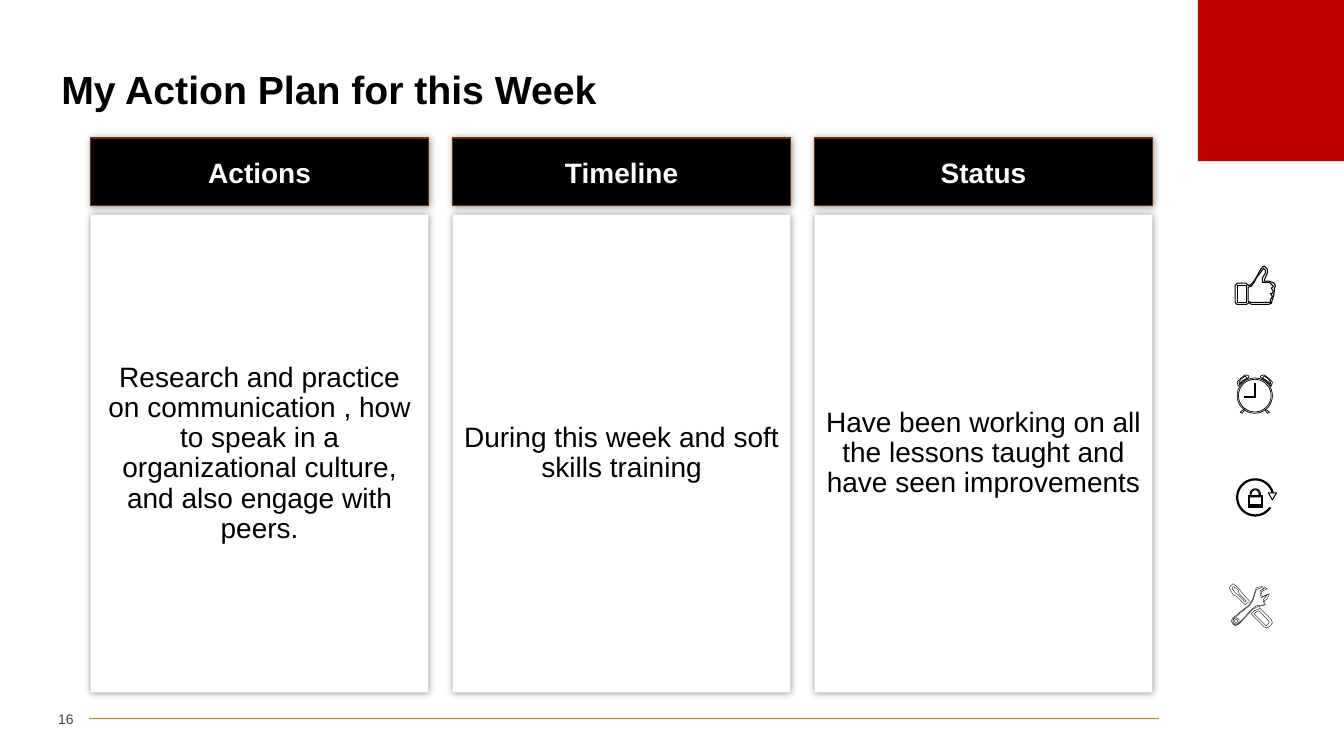
from math import cos, radians, sin

from lxml.etree import SubElement
from pptx import Presentation
from pptx.dml.color import RGBColor
from pptx.enum.shapes import MSO_CONNECTOR as Connector, MSO_SHAPE as Shape
from pptx.enum.text import MSO_ANCHOR as Anchor, PP_ALIGN as Align
from pptx.oxml.ns import qn
from pptx.util import Inches, Pt

BLACK = RGBColor(0x00, 0x00, 0x00)
WHITE = RGBColor(0xFF, 0xFF, 0xFF)
RED = RGBColor(0xC0, 0x00, 0x00)
ORANGE = RGBColor(0xFF, 0x66, 0x00)
BROWN = RGBColor(0x70, 0x2D, 0x00)
GREY = RGBColor(0x40, 0x40, 0x40)

# Grid, in inches
SLIDE_W, SLIDE_H = 13.33, 7.5
COLUMN_LEFT, COLUMN_W, COLUMN_PITCH = 0.9, 3.35, 3.59
HEADER_TOP, HEADER_H = 1.37, 0.67
CARD_TOP, CARD_H = 2.13, 4.74
BADGE_LEFT, BADGE_TOP, BADGE_SIZE, BADGE_PITCH = 11.99, 2.43, 0.9, 1.04

PLAN = [
    ("Actions", "Research and practice on communication , how to speak in a "
                "organizational culture, and also engage with peers."),
    ("Timeline", "During this week and soft skills training"),
    ("Status", "Have been working on all the lessons taught and have seen improvements"),
]


def arc(x, y, radius, start, end):
    """Points along an arc, angles in degrees clockwise from the right."""
    angles = [radians(start + (end - start) * i / 36) for i in range(37)]
    return [(x + radius * cos(a), y + radius * sin(a)) for a in angles]


def mirror(contours):
    """Flip left to right about the clock's axis."""
    return [[(91 - x, y) for x, y in contour] for contour in contours]


# Icon outlines, in hundredths of an inch from the badge's corner
THUMB = [
    [(65, 43), (66, 41), (65, 38), (60, 36), (55, 36), (55, 35), (58, 28), (58, 24),
     (55, 21), (53, 22), (51, 25), (47, 32), (44, 37), (41, 40), (39, 40), (37, 38),
     (28, 38), (26, 40), (26, 57), (28, 59), (37, 59), (39, 58), (40, 57), (42, 59),
     (59, 59), (62, 58), (63, 54), (64, 51), (65, 46)],
    [(28, 40), (37, 40), (37, 57), (28, 57)],
    [(63, 42), (62, 43), (64, 46), (63, 48), (61, 48), (63, 51), (62, 53), (61, 54),
     (61, 57), (59, 57), (42, 57), (39, 56), (39, 42), (42, 41), (45, 37), (47, 33),
     (53, 25), (54, 23), (56, 25), (56, 28), (53, 33), (53, 37), (60, 37), (64, 41)],
]
BELL = [
    [(61, 36), (61, 35), (57, 31), (52, 28), (51, 27), (52, 25.5), (55, 25), (59, 28),
     (63, 32), (62, 36)],
    [(53, 28), (58, 31), (61, 34), (61, 32), (59, 29), (55, 26)],
]
LEG = [[(58, 63), (55, 59), (55, 58), (60, 62)]]
FACE = [arc(45.5, 45.5, radius, 0, 360) for radius in (17.5, 16.2)]
HANDS = [[(46, 47), (35, 47), (35, 46), (45, 46), (45, 33), (46, 33)]]
CYCLE = [arc(46, 42.5, 18.5, 0, -325) + arc(46, 42.5, 17.3, -325, 0)]
CYCLE_HEAD = [[(59, 38), (63, 45), (67, 38)]]
SHACKLE = [
    [(41, 42), *arc(46, 39, 5, 180, 360), (51, 42)],
    [(42, 41), *arc(46, 39, 4, 180, 360), (50, 41)],
]
LOCK_BODY = [
    [(39, 41), (53, 41), (53, 52), (39, 52)],
    [(40, 42), (52, 42), (52, 50), (40, 50)],
]
HANDLE = [
    [(57, 68), (55, 67), (42, 54), (45, 51), (50, 49), (50, 48), (62, 60), (63, 63),
     (61, 66), (59, 67.5)],
    [(57, 66), (59, 64), (60, 62), (50, 51), (47, 52), (45, 54)],
]
SCREWDRIVER = [
    [(36, 45), (28, 37), (24, 35), (20, 28), (24, 24), (30, 29), (32, 32), (40, 41),
     (40, 42), (38, 43)],
    [(26, 33), (29, 35), (36, 42), (37, 41), (30, 34), (29, 30), (24, 27), (23, 29)],
]
WRENCH = [
    [(52, 27), (47, 28), (46, 31), (44, 38), (40, 45), (24, 58), (22, 61), (24, 64),
     (26, 66), (30, 64), (44, 49), (48, 47), (56, 45), (55, 41), (58, 39), (60, 34),
     (53, 37), (52, 32), (58, 29), (55, 27.5)],
    [(52, 28), (55, 29), (51, 31), (51, 34), (52, 38), (58, 35), (54, 40), (55, 45),
     (47, 46), (43, 49), (29, 64), (26, 65), (24, 64), (24, 59), (41, 45), (44, 40),
     (46, 33), (47, 30)],
    arc(27, 61, 3, 0, 360),
    arc(27, 61, 1.5, 0, 360),
]
ICONS = [
    (0.75, [THUMB]),
    (0.5, [BELL, mirror(BELL), LEG, mirror(LEG), FACE, HANDS]),
    (0.75, [CYCLE, CYCLE_HEAD, SHACKLE, LOCK_BODY]),
    (0.25, [HANDLE, SCREWDRIVER, WRENCH]),
]


def paint(shape, fill, line=None, width=1):
    shape.shadow.inherit = False
    shape.fill.solid()
    shape.fill.fore_color.rgb = fill
    if line is None:
        shape.line.fill.background()
    else:
        shape.line.color.rgb = line
        shape.line.width = Pt(width)


def add_block(shapes, kind, left, top, width, height, fill, line=None):
    block = shapes.add_shape(kind, *map(Inches, (left, top, width, height)))
    paint(block, fill, line)
    return block


def add_glow(shape):
    """Soft black shadow all round the shape."""
    effects = shape._element.spPr.find(qn("a:effectLst"))
    shadow = SubElement(effects, qn("a:outerShdw"), blurRad=str(Pt(5)), dist="0",
                        dir="0", algn="ctr", rotWithShape="0")
    color = SubElement(shadow, qn("a:srgbClr"), val=str(BLACK))
    SubElement(color, qn("a:alpha"), val="40000")


def write(shape, text, size, color, align, bold=False, spacing=None, before=0):
    frame = shape.text_frame
    frame.word_wrap = True
    frame.vertical_anchor = Anchor.MIDDLE
    frame.text = text
    paragraph = frame.paragraphs[0]
    paragraph.alignment = align
    paragraph.line_spacing = spacing
    paragraph.space_before = Pt(before)
    font = paragraph.runs[0].font
    font.name, font.size, font.bold = "Arial", Pt(size), bold
    font.color.rgb = color


def add_outline(shapes, contours, left, top, width):
    places = [[(Inches(left + x / 100), Inches(top + y / 100)) for x, y in contour]
              for contour in contours]
    builder = shapes.build_freeform(*places[0][0])
    for number, points in enumerate(places):
        if number:
            builder.move_to(*points[0])
        builder.add_line_segments(points[1:], close=True)
    paint(builder.convert_to_shape(), WHITE, BLACK, width)


def add_icon(slide, row, width, outlines):
    top = BADGE_TOP + row * BADGE_PITCH
    icon = slide.shapes.add_group_shape().shapes
    add_block(icon, Shape.OVAL, BADGE_LEFT, top, BADGE_SIZE, BADGE_SIZE, WHITE)
    for contours in outlines:
        add_outline(icon, contours, BADGE_LEFT, top, width)


def add_footer(slide):
    rule = slide.shapes.add_connector(
        Connector.STRAIGHT, *map(Inches, (0.88, 7.13, 11.5, 7.13)))
    rule.line.color.rgb = ORANGE
    rule.line.width = Pt(0.5)
    SubElement(rule._element.spPr, qn("a:effectLst"))
    number = slide.shapes.add_textbox(*map(Inches, (0.33, 6.99, 0.4, 0.29)))
    number.text_frame.margin_left = number.text_frame.margin_right = 0
    write(number, "16", 10, GREY, Align.RIGHT)


def main():
    deck = Presentation()
    deck.slide_width, deck.slide_height = Inches(SLIDE_W), Inches(SLIDE_H)
    slide = deck.slides.add_slide(deck.slide_layouts[6])
    shapes = slide.shapes

    # Frame: footer, corner and title
    add_footer(slide)
    add_block(shapes, Shape.RECTANGLE, 11.88, 0, SLIDE_W - 11.88, 1.6, RED)
    title = shapes.add_textbox(*map(Inches, (0.51, 0.52, 12.31, 0.78)))
    write(title, "My Action Plan for this Week", 28, BLACK, Align.LEFT, True, 0.9)

    # Plan columns
    for column, (heading, detail) in enumerate(PLAN):
        left = COLUMN_LEFT + column * COLUMN_PITCH
        card = add_block(shapes, Shape.RECTANGLE, left, CARD_TOP, COLUMN_W, CARD_H, WHITE)
        write(card, detail, 20, BLACK, Align.CENTER, spacing=0.9, before=10)
        header = add_block(shapes, Shape.RECTANGLE, left, HEADER_TOP, COLUMN_W, HEADER_H,
                           BLACK, BROWN)
        write(header, heading, 20, WHITE, Align.CENTER, True)
        add_glow(card)
        add_glow(header)

    # Icons down the right side
    for row, (width, outlines) in enumerate(ICONS):
        add_icon(slide, row, width, outlines)

    deck.save("out.pptx")


if __name__ == "__main__":
    main()
